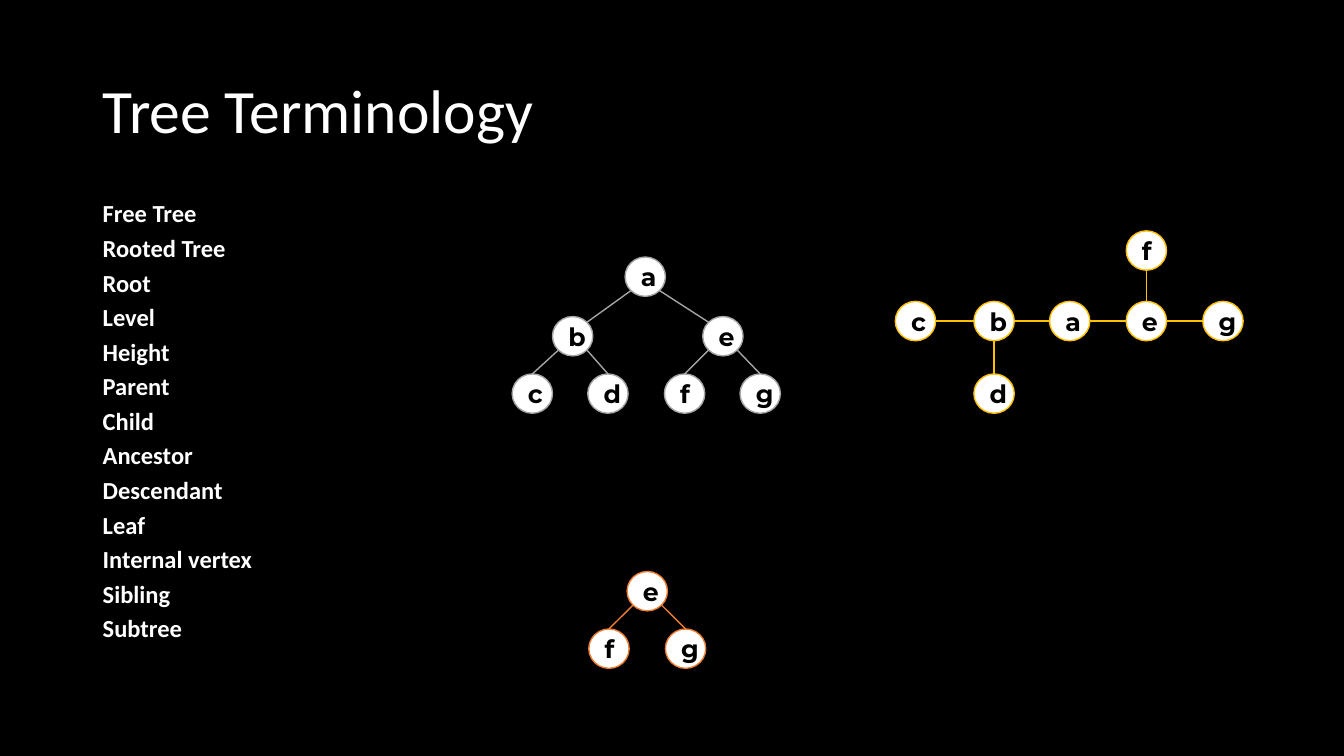
"""Build the Tree Terminology slide with its three node diagrams."""
import dataclasses
import math
import typing

import lxml.etree
import pptx
import pptx.dml.color
import pptx.enum.shapes
import pptx.enum.text
import pptx.oxml.ns
import pptx.shapes.group
import pptx.slide
import pptx.text.text
import pptx.util

Inches = pptx.util.Inches


@dataclasses.dataclass(frozen=True)
class Theme:
    black: str = "000000"
    white: str = "FFFFFF"
    gold: str = "FFC000"
    grey: str = "A5A5A5"
    orange: str = "ED7D31"
    text_font: str = "Calibri"
    node_font: str = "Montserrat"
    title_size: float = 44
    list_size: float = 17.5
    node_size: float = 18
    line_width: float = 1


class Node(typing.NamedTuple):
    label: str
    left: float
    top: float


class Edge(typing.NamedTuple):
    start: str
    start_side: str
    end: str
    end_side: str


class Tree(typing.NamedTuple):
    color: str
    nodes: list[Node]
    edges: list[Edge]


THEME = Theme()
NODE_WIDTH, NODE_HEIGHT = 0.4, 0.39
DIAG = math.sqrt(0.5)
SIDES = {
    "N": (0, -1), "S": (0, 1), "W": (-1, 0), "E": (1, 0),
    "NE": (DIAG, -DIAG), "SE": (DIAG, DIAG), "SW": (-DIAG, DIAG),
}
TERMS = [
    "Free Tree", "Rooted Tree", "Root", "Level", "Height", "Parent", "Child",
    "Ancestor", "Descendant", "Leaf", "Internal vertex", "Sibling", "Subtree",
]
FREE_ROW, LEAF_ROW = 2.99, 3.71
TREES = [
    Tree(
        THEME.gold,
        [
            Node("a", 10.41, FREE_ROW), Node("d", 9.66, LEAF_ROW),
            Node("c", 8.88, FREE_ROW), Node("b", 9.66, FREE_ROW),
            Node("e", 11.17, FREE_ROW), Node("g", 11.93, FREE_ROW),
            Node("f", 11.17, 2.29),
        ],
        [
            Edge("a", "W", "b", "E"), Edge("a", "E", "e", "W"),
            Edge("b", "W", "c", "E"), Edge("d", "N", "b", "S"),
            Edge("e", "N", "f", "S"), Edge("e", "E", "g", "W"),
        ],
    ),
    Tree(
        THEME.grey,
        [
            Node("a", 6.2, 2.55), Node("d", 5.83, LEAF_ROW),
            Node("c", 5.08, LEAF_ROW), Node("b", 5.48, 3.14),
            Node("e", 6.97, 3.14), Node("g", 7.34, LEAF_ROW),
            Node("f", 6.59, LEAF_ROW),
        ],
        [
            Edge("a", "SW", "b", "NE"), Edge("a", "SE", "e", "NW"),
            Edge("b", "SW", "c", "N"), Edge("d", "N", "b", "SE"),
            Edge("e", "SW", "f", "N"), Edge("e", "SE", "g", "N"),
        ],
    ),
    Tree(
        THEME.orange,
        [Node("e", 6.22, 5.67), Node("g", 6.6, 6.24), Node("f", 5.84, 6.24)],
        [Edge("e", "SW", "f", "N"), Edge("e", "SE", "g", "N")],
    ),
]
SIDES["NW"] = (-DIAG, -DIAG)


def paint(name: str) -> pptx.dml.color.RGBColor:
    return pptx.dml.color.RGBColor.from_string(name)


def style(line: pptx.text.text._Paragraph, face: str, size: float,
          color: str, bold: bool = False) -> None:
    for run in line.runs:
        run.font.name = face
        run.font.size = pptx.util.Pt(size)
        run.font.bold = bold
        run.font.color.rgb = paint(color)


def draw_title(slide: pptx.slide.Slide) -> None:
    title = slide.shapes.title
    title.left, title.top = Inches(0.92), Inches(0.4)
    title.width, title.height = Inches(11.5), Inches(1.45)
    frame = title.text_frame
    frame.text = "Tree Terminology"
    frame.auto_size = pptx.enum.text.MSO_AUTO_SIZE.NONE
    frame.vertical_anchor = pptx.enum.text.MSO_ANCHOR.MIDDLE
    line = frame.paragraphs[0]
    line.alignment = pptx.enum.text.PP_ALIGN.LEFT
    line.line_spacing = 0.9
    style(line, THEME.text_font, THEME.title_size, THEME.white)


def draw_terms(slide: pptx.slide.Slide) -> None:
    box = slide.shapes.add_textbox(
        Inches(0.92), Inches(2), Inches(3.81), Inches(4.76))
    frame = box.text_frame
    frame.word_wrap = True
    frame.text = "\n".join(TERMS)
    for index, line in enumerate(frame.paragraphs):
        line.line_spacing = 0.7
        line.space_before = pptx.util.Pt(10 if index else 0)
        style(line, THEME.text_font, THEME.list_size, THEME.white, True)


def draw_node(group: pptx.shapes.group.GroupShape, node: Node,
              color: str) -> None:
    shape = group.shapes.add_shape(
        pptx.enum.shapes.MSO_SHAPE.OVAL, Inches(node.left), Inches(node.top),
        Inches(NODE_WIDTH), Inches(NODE_HEIGHT))
    shape.shadow.inherit = False
    shape.fill.solid()
    shape.fill.fore_color.rgb = paint(THEME.white)
    shape.line.color.rgb = paint(color)
    shape.line.width = pptx.util.Pt(THEME.line_width)
    frame = shape.text_frame
    frame.text = node.label
    frame.vertical_anchor = pptx.enum.text.MSO_ANCHOR.MIDDLE
    line = frame.paragraphs[0]
    line.alignment = pptx.enum.text.PP_ALIGN.CENTER
    style(line, THEME.node_font, THEME.node_size, THEME.black, True)


def rim_point(node: Node, side: str) -> tuple[int, int]:
    across, down = SIDES[side]
    return (Inches(node.left + NODE_WIDTH / 2 * (1 + across)),
            Inches(node.top + NODE_HEIGHT / 2 * (1 + down)))


def draw_edge(group: pptx.shapes.group.GroupShape, nodes: dict[str, Node],
              edge: Edge, color: str) -> None:
    link = group.shapes.add_connector(
        pptx.enum.shapes.MSO_CONNECTOR.STRAIGHT,
        *rim_point(nodes[edge.start], edge.start_side),
        *rim_point(nodes[edge.end], edge.end_side))
    link.line.color.rgb = paint(color)
    link.line.width = pptx.util.Pt(THEME.line_width)
    lxml.etree.SubElement(
        link._element.spPr, pptx.oxml.ns.qn("a:effectLst"))


def draw_tree(slide: pptx.slide.Slide, tree: Tree) -> None:
    group = slide.shapes.add_group_shape()
    nodes = {node.label: node for node in tree.nodes}
    for node in tree.nodes:
        draw_node(group, node, tree.color)
    for edge in tree.edges:
        draw_edge(group, nodes, edge, tree.color)


def main() -> None:
    deck = pptx.Presentation()
    deck.slide_width, deck.slide_height = Inches(13.33), Inches(7.5)
    slide = deck.slides.add_slide(deck.slide_layouts.get_by_name("Title Only"))
    slide.background.fill.solid()
    slide.background.fill.fore_color.rgb = paint(THEME.black)
    draw_title(slide)
    draw_terms(slide)
    for tree in TREES:
        draw_tree(slide, tree)
    deck.save("out.pptx")


if __name__ == "__main__":
    main()
